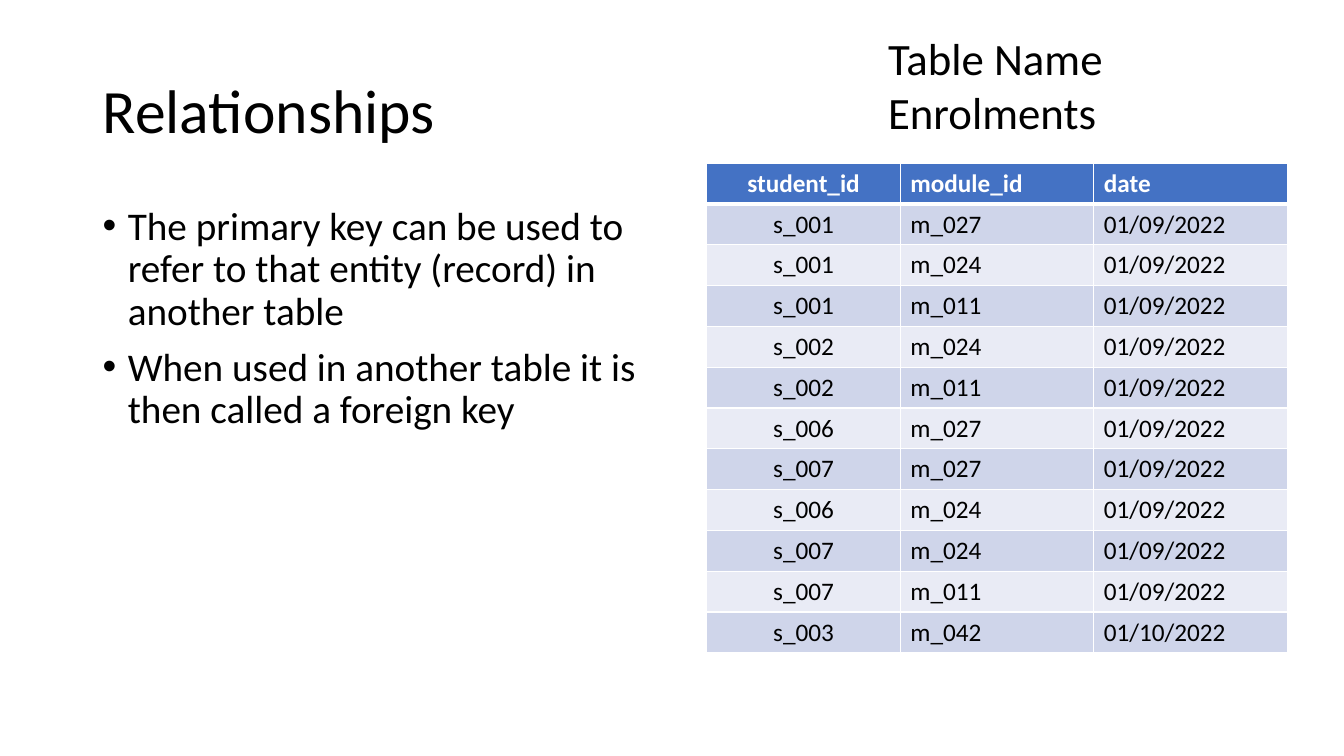
import pptx
import pptx.dml.color
import pptx.enum.text
import pptx.oxml
import pptx.oxml.ns
import pptx.util
from dataclasses import dataclass

Inches = pptx.util.Inches
Pt = pptx.util.Pt
ALIGN = pptx.enum.text.PP_ALIGN
ANCHOR = pptx.enum.text.MSO_ANCHOR
AUTO_SIZE = pptx.enum.text.MSO_AUTO_SIZE
NS = pptx.oxml.ns.nsdecls("a")


@dataclass(frozen=True)
class Theme:
    font: str = "Calibri"
    text: str = "000000"
    white: str = "FFFFFF"
    header: str = "4472C4"
    bands: tuple = ("CFD5EA", "E9EBF5")
    title_size: int = 44
    caption_size: int = 32
    body_size: int = 28
    cell_size: int = 18
    line_spacing: float = 0.9


class SlideBuilder:
    def __init__(self, slide, theme):
        self.s = slide
        self.theme = theme

    def run(self, p, text, size, color=None, bold=False):
        r = p.add_run()
        r.text = text
        r.font.name = self.theme.font
        r.font.size = Pt(size)
        r.font.bold = bold
        r.font.color.rgb = pptx.dml.color.RGBColor.from_string(color or self.theme.text)

    def title(self, text, left, top, width, height):
        sp = self.s.shapes.title
        sp.left, sp.top, sp.width, sp.height = map(Inches, (left, top, width, height))
        tf = sp.text_frame
        tf.auto_size = AUTO_SIZE.NONE
        tf.vertical_anchor = ANCHOR.MIDDLE
        p = tf.paragraphs[0]
        p.alignment = ALIGN.LEFT
        p.line_spacing = self.theme.line_spacing
        self.run(p, text, self.theme.title_size)

    def text(self, lines, left, top, width, height, size, wrap=True, bullets=False):
        sp = self.s.shapes.add_textbox(*map(Inches, (left, top, width, height)))
        tf = sp.text_frame
        tf.word_wrap = wrap
        for i, line in enumerate(lines):
            p = tf.add_paragraph() if i else tf.paragraphs[0]
            if bullets:
                self.bullet(p)
                p.line_spacing = self.theme.line_spacing
                if i:
                    p.space_before = Pt(10)
            self.run(p, line, size)

    def bullet(self, p):
        pPr = p._p.get_or_add_pPr()
        pPr.set("marL", str(Inches(0.25)))
        pPr.set("indent", str(-Inches(0.25)))
        for xml in (f'<a:buFont {NS} typeface="Arial"/>', f'<a:buChar {NS} char="•"/>'):
            pPr.append(pptx.oxml.parse_xml(xml))

    def borders(self, cell, row):
        widths = {"lnL": 1, "lnR": 1, "lnT": 3 if row == 1 else 1, "lnB": 1 if row else 3}
        tcPr = cell._tc.get_or_add_tcPr()
        for tag, width in widths.items():
            tcPr.append(pptx.oxml.parse_xml(
                f'<a:{tag} {NS} w="{Pt(width)}"><a:solidFill>'
                f'<a:srgbClr val="{self.theme.white}"/></a:solidFill></a:{tag}>'))

    def table(self, rows, left, top, width, height):
        box = map(Inches, (left, top, width, height))
        table = self.s.shapes.add_table(len(rows), len(rows[0]), *box).table
        for i, row in enumerate(rows):
            fill = self.theme.bands[(i - 1) % 2] if i else self.theme.header
            color = self.theme.text if i else self.theme.white
            for j, text in enumerate(row):
                cell = table.cell(i, j)
                self.borders(cell, i)
                cell.fill.solid()
                cell.fill.fore_color.rgb = pptx.dml.color.RGBColor.from_string(fill)
                p = cell.text_frame.paragraphs[0]
                p.alignment = ALIGN.LEFT if j else ALIGN.CENTER
                self.run(p, text, self.theme.cell_size, color, bold=i == 0)


ENROLMENTS = [
    ("student_id", "module_id", "date"),
    ("s_001", "m_027", "01/09/2022"),
    ("s_001", "m_024", "01/09/2022"),
    ("s_001", "m_011", "01/09/2022"),
    ("s_002", "m_024", "01/09/2022"),
    ("s_002", "m_011", "01/09/2022"),
    ("s_006", "m_027", "01/09/2022"),
    ("s_007", "m_027", "01/09/2022"),
    ("s_006", "m_024", "01/09/2022"),
    ("s_007", "m_024", "01/09/2022"),
    ("s_007", "m_011", "01/09/2022"),
    ("s_003", "m_042", "01/10/2022"),
]
KEY_POINTS = [
    "The primary key can be used to refer to that entity (record) in another table",
    "When used in another table it is then called a foreign key",
]


def main():
    prs = pptx.Presentation()
    prs.slide_width, prs.slide_height = Inches(13.33), Inches(7.5)
    theme = Theme()
    slide = SlideBuilder(prs.slides.add_slide(prs.slide_layouts[5]), theme)
    slide.title("Relationships", 0.92, 0.4, 11.5, 1.45)
    slide.text(KEY_POINTS, 0.92, 2, 5.67, 4.76, theme.body_size, bullets=True)
    slide.table(ENROLMENTS, 7.01, 1.62, 5.76, 4.86)
    slide.text(["Table Name", "Enrolments"], 8.71, 0.26, 2.35, 1.18,
               theme.caption_size, wrap=False)
    prs.save("out.pptx")


if __name__ == "__main__":
    main()
